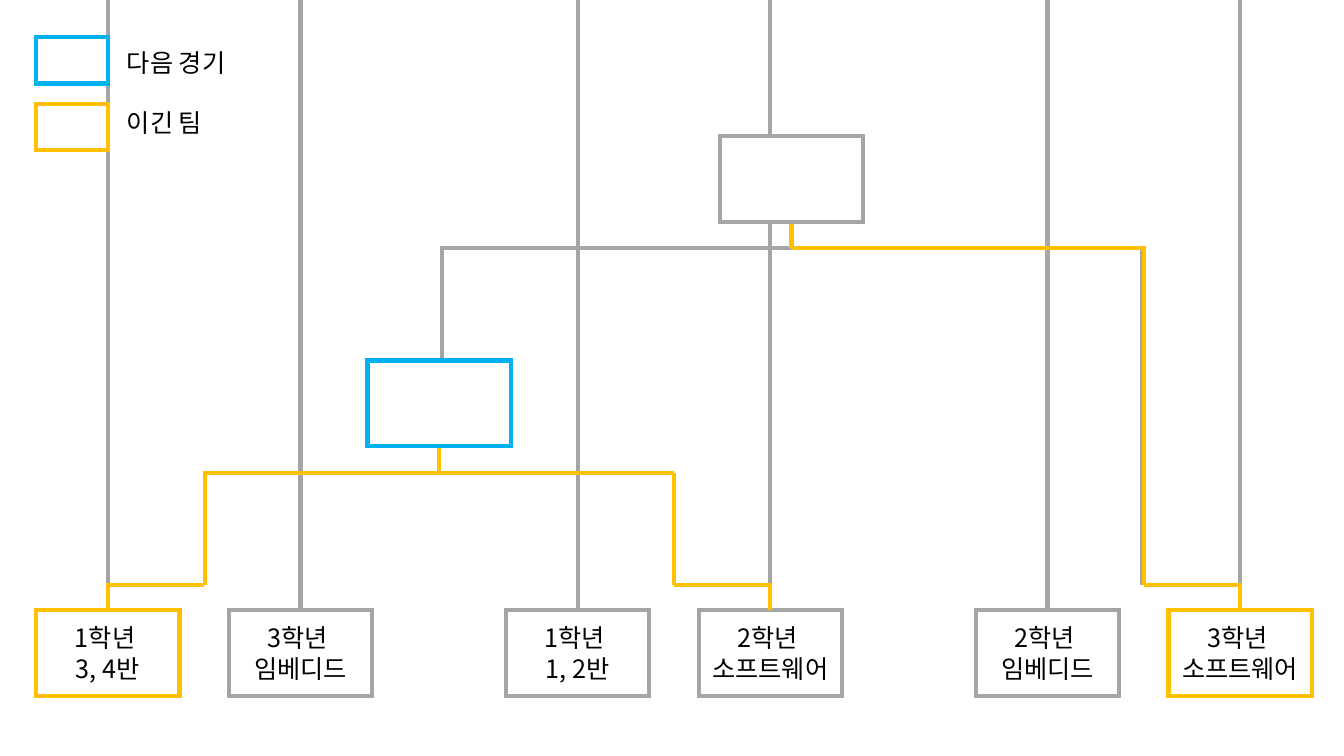
from dataclasses import dataclass

from lxml.etree import SubElement
from pptx import Presentation
from pptx.dml.color import RGBColor
from pptx.enum.shapes import MSO_CONNECTOR, MSO_SHAPE
from pptx.enum.text import MSO_ANCHOR, PP_ALIGN
from pptx.oxml.ns import qn
from pptx.util import Inches, Pt


@dataclass(frozen=True)
class Theme:
    """Colours, font and sizes of the bracket."""
    waiting: str = "A5A5A5"
    upcoming: str = "00B0F0"
    winner: str = "FFC000"
    paper: str = "FFFFFF"
    ink: str = "000000"
    font: str = "Noto Sans CJK KR"
    size: float = 18
    stroke: float = 3


@dataclass(frozen=True)
class Box:
    """A bordered box, given by centre, top and size."""
    center: float
    top: float
    color: str
    text: str = ""
    width: float = 1.42
    height: float = 0.85


@dataclass(frozen=True)
class Link:
    """A line; an elbow runs vertically first, then horizontally."""
    start: tuple[float, float]
    end: tuple[float, float]
    color: str
    elbow: bool = False


THEME = Theme()
LEFT, PAIR_STEP, TEAM_STEP = 1.07, 4.66, 1.91
TOP, ROW_STEP, STUB = 1.35, 1.113, 0.25


def team_x(index: int) -> float:
    """Centre of a team's column; teams stand in pairs."""
    pair, side = divmod(index, 2)
    return LEFT + pair * PAIR_STEP + side * TEAM_STEP


def pair_x(pair: int) -> float:
    """Middle between the two teams of a pair."""
    return (team_x(2 * pair) + team_x(2 * pair + 1)) / 2


def row_y(row: int) -> float:
    """Height of a bracket row, counted from the final."""
    return TOP + row * ROW_STEP


def style_line(shape, color: str) -> None:
    """Set colour, width and sharp corners of a line."""
    shape.line.color.rgb = RGBColor.from_string(color)
    shape.line.width = Pt(THEME.stroke)
    SubElement(shape.line._get_or_add_ln(), qn("a:miter"), lim="800000")


def write(frame, text: str, *, align=PP_ALIGN.LEFT, anchor=MSO_ANCHOR.TOP,
          before: float = 0) -> None:
    """Fill a text frame, one paragraph for each line of text."""
    frame.word_wrap = True
    frame.vertical_anchor = anchor
    for number, line in enumerate(text.split("\n")):
        paragraph = frame.add_paragraph() if number else frame.paragraphs[0]
        paragraph.alignment = align
        paragraph.space_before = Pt(before if number else 0)
        run = paragraph.add_run()
        run.text = line
        run.font.size = Pt(THEME.size)
        run.font.name = THEME.font
        run.font.color.rgb = RGBColor.from_string(THEME.ink)
        SubElement(run.font._element, qn("a:ea"), typeface=THEME.font)


def draw_box(slide, box: Box) -> None:
    """Draw a box with its centred text."""
    shape = slide.shapes.add_shape(
        MSO_SHAPE.RECTANGLE, Inches(box.center - box.width / 2), Inches(box.top),
        Inches(box.width), Inches(box.height))
    shape.shadow.inherit = False
    shape.fill.solid()
    shape.fill.fore_color.rgb = RGBColor.from_string(THEME.paper)
    style_line(shape, box.color)
    if box.text:
        write(shape.text_frame, box.text, align=PP_ALIGN.CENTER,
              anchor=MSO_ANCHOR.MIDDLE)


def draw_link(slide, link: Link) -> None:
    """Draw a straight or elbow connector."""
    kind = MSO_CONNECTOR.ELBOW if link.elbow else MSO_CONNECTOR.STRAIGHT
    connector = slide.shapes.add_connector(
        kind, *(Inches(value) for value in link.start + link.end))
    style_line(connector, link.color)
    properties = connector._element.spPr
    SubElement(properties, qn("a:effectLst"))
    if link.elbow:
        guides = properties.find(qn("a:prstGeom")).get_or_add_avLst()
        SubElement(guides, qn("a:gd"), name="adj1", fmla="val 0")


TEAMS = [
    ("1학년 \n3, 4반", THEME.winner),
    ("3학년 \n임베디드", THEME.waiting),
    ("1학년 \n1, 2반", THEME.waiting),
    ("2학년 \n소프트웨어", THEME.waiting),
    ("2학년 \n임베디드", THEME.waiting),
    ("3학년 \n소프트웨어", THEME.winner),
]
FINAL_JOIN, SEMI_TOP, SEMI_JOIN, PAIR_JOIN = (row_y(row) for row in range(1, 5))
TEAM_TOP = PAIR_JOIN + STUB
SEMI_X = (pair_x(0) + pair_x(1)) / 2
FINAL_X = (SEMI_X + pair_x(2)) / 2
ADVANCING = [0, 3, 5]

presentation = Presentation()
presentation.slide_width, presentation.slide_height = Inches(13.33), Inches(7.5)
bracket = presentation.slides.add_slide(presentation.slide_layouts[6])

for index, (team, color) in enumerate(TEAMS):
    draw_box(bracket, Box(team_x(index), TEAM_TOP, color, team))
for index in range(len(TEAMS)):
    draw_link(bracket, Link((team_x(index), TEAM_TOP), (team_x(index), 0),
                            THEME.waiting))

semi_and_final = [
    Link((pair_x(2) - 0.02, FINAL_JOIN), (pair_x(2) - 0.02, PAIR_JOIN), THEME.waiting),
    Link((pair_x(0) + 0.01, PAIR_JOIN), (pair_x(1), SEMI_JOIN), THEME.winner, True),
    Link((pair_x(1), SEMI_JOIN), (pair_x(1), PAIR_JOIN), THEME.winner),
    Link((SEMI_X + 0.03, SEMI_TOP), (pair_x(2), FINAL_JOIN), THEME.waiting, True),
    Link((SEMI_X, SEMI_TOP + 0.85), (SEMI_X, SEMI_JOIN), THEME.winner),
    Link((FINAL_X, TOP + 0.85), (FINAL_X, FINAL_JOIN), THEME.winner),
    Link((pair_x(2), PAIR_JOIN), (FINAL_X, FINAL_JOIN), THEME.winner, True),
]
advances = [Link((team_x(index), TEAM_TOP), (pair_x(index // 2), PAIR_JOIN),
                 THEME.winner, True) for index in ADVANCING]
for link in semi_and_final + advances:
    draw_link(bracket, link)

draw_box(bracket, Box(SEMI_X, SEMI_TOP, THEME.upcoming))
draw_box(bracket, Box(FINAL_X, TOP, THEME.waiting))

for row, color in enumerate((THEME.upcoming, THEME.winner)):
    draw_box(bracket, Box(LEFT * 2 / 3, 0.37 + row * 0.66, color,
                          width=0.71, height=0.46))
legend = bracket.shapes.add_textbox(Inches(1.16), Inches(0.42),
                                    Inches(1.73), Inches(1.01))
write(legend.text_frame, "다음 경기\n이긴 팀", before=21.5)

presentation.save("out.pptx")
